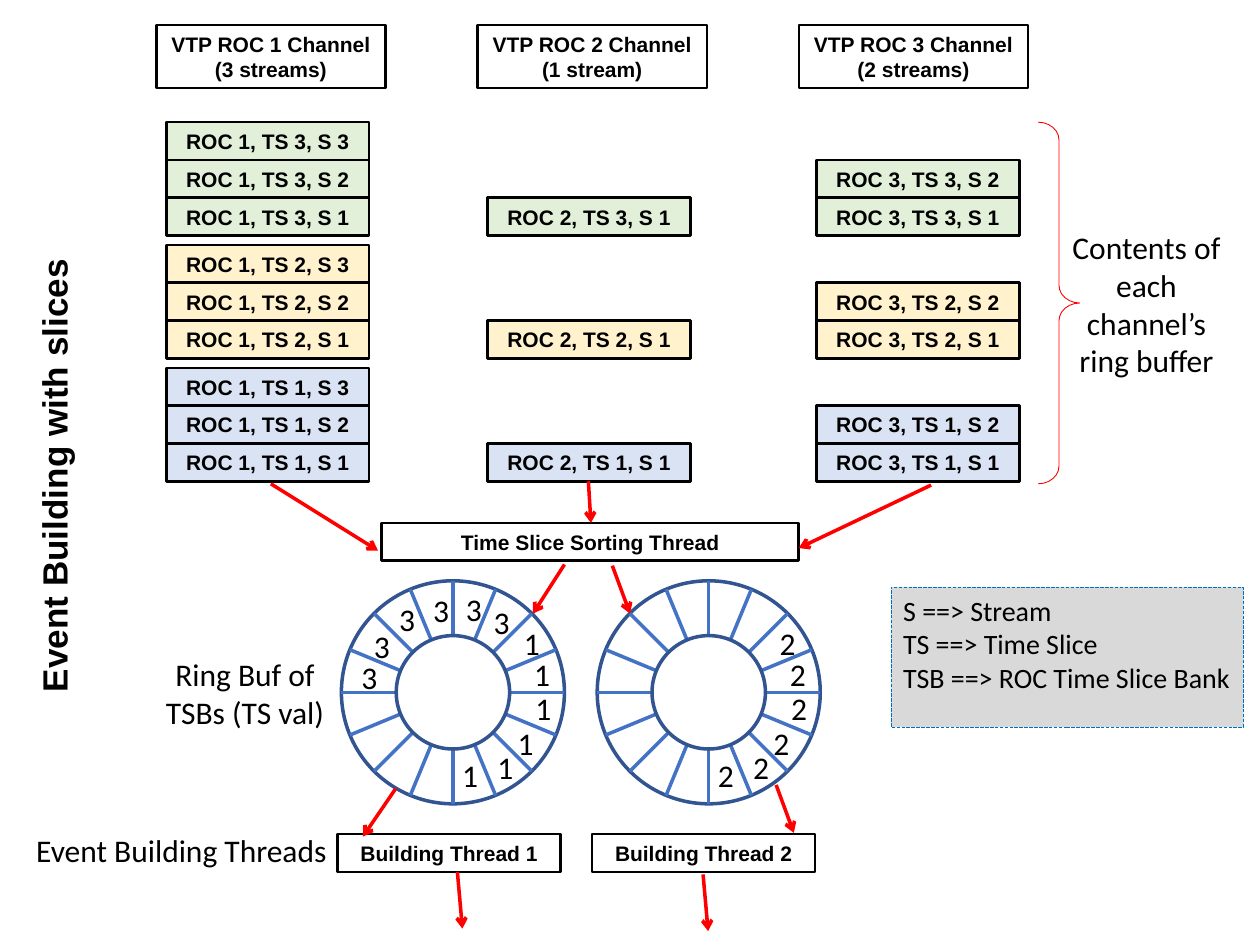
from dataclasses import dataclass
from math import cos, pi, sin

from lxml import etree
from pptx import Presentation
from pptx.dml.color import RGBColor
from pptx.enum.dml import MSO_LINE
from pptx.enum.shapes import MSO_CONNECTOR, MSO_SHAPE
from pptx.enum.text import MSO_ANCHOR, PP_ALIGN
from pptx.oxml import parse_xml
from pptx.oxml.ns import qn
from pptx.util import Inches, Pt

CENTER, LEFT = PP_ALIGN.CENTER, PP_ALIGN.LEFT
MIDDLE, TOP = MSO_ANCHOR.MIDDLE, MSO_ANCHOR.TOP
RECTANGLE, OVAL, BRACE = MSO_SHAPE.RECTANGLE, MSO_SHAPE.OVAL, MSO_SHAPE.RIGHT_BRACE
STRAIGHT = MSO_CONNECTOR.STRAIGHT
LONG_DASH = MSO_LINE.LONG_DASH


@dataclass(frozen=True)
class Theme:
    black: str = "000000"
    white: str = "FFFFFF"
    red: str = "FF0000"
    gray: str = "D9D9D9"
    legend_edge: str = "0070C0"
    ring_edge: str = "325491"
    spoke: str = "4472C4"
    slices: tuple = ("E2F0D9", "FFF2CC", "DAE3F3")
    heading_font: str = "Arial"
    body_font: str = "Calibri"
    label: int = 12
    legend: int = 16
    body: int = 18
    title: int = 20


THEME = Theme()
ROW_HEIGHT = 0.3
DIGIT_WIDTH, DIGIT_HEIGHT = 0.33, 0.4
RIGHT_DIGITS = [(0.86, 1.34), (1.3, 1.09), (1.14, 1.28),
                (1.43, 0.54), (1.44, 0.81), (1.35, 0.29)]
LEFT_DIGITS = [(0.63, 0.03), (0.16, 0.32), (1.11, 0.13),
               (0.36, 0.1), (0.89, 0.02), (0.06, 0.56)]
TEXT_SHADOW = (
    '<a:effectLst xmlns:a="http://schemas.openxmlformats.org/drawingml/2006/main">'
    '<a:outerShdw blurRad="38100" dist="38100" dir="2700000" algn="tl">'
    '<a:srgbClr val="000000"><a:alpha val="43000"/></a:srgbClr>'
    '</a:outerShdw></a:effectLst>'
)


def write(shape, text, size=THEME.body, font=THEME.body_font, bold=False,
          align=CENTER, anchor=TOP, right=0.1, shadow=False):
    frame = shape.text_frame
    frame.word_wrap = True
    frame.vertical_anchor = anchor
    frame.margin_right = Inches(right)
    for index, line in enumerate(text.split("\n")):
        para = frame.add_paragraph() if index else frame.paragraphs[0]
        para.alignment = align
        span = para.add_run()
        span.text = line
        span.font.size = Pt(size)
        span.font.name = font
        span.font.bold = bold
        span.font.color.rgb = RGBColor.from_string(THEME.black)
        if shadow:
            fill = span.font._element.find(qn("a:solidFill"))
            fill.addnext(parse_xml(TEXT_SHADOW))


def add_text(page, box, text, **style):
    shape = page.shapes.add_textbox(*map(Inches, box))
    write(shape, text, **style)
    return shape


def add_shape(page, kind, box, fill=None, line=THEME.black, weight=1.5):
    shape = page.shapes.add_shape(kind, *map(Inches, box))
    shape.shadow.inherit = False
    if fill:
        shape.fill.solid()
        shape.fill.fore_color.rgb = RGBColor.from_string(fill)
    else:
        shape.fill.background()
    shape.line.color.rgb = RGBColor.from_string(line)
    shape.line.width = Pt(weight)
    return shape


def add_label(page, box, text, fill=None):
    shape = add_shape(page, RECTANGLE, box, fill)
    write(shape, text, size=THEME.label, font=THEME.heading_font, bold=True, anchor=MIDDLE)


def add_line(page, start, end, color=THEME.red, arrow=False):
    line = page.shapes.add_connector(STRAIGHT, *map(Inches, (*start, *end)))
    line.line.color.rgb = RGBColor.from_string(color)
    line.line.width = Pt(2)
    properties = line._element.spPr
    if arrow:
        etree.SubElement(properties.find(qn("a:ln")), qn("a:tailEnd"), type="arrow")
    etree.SubElement(properties, qn("a:effectLst"))


def add_channel(page, box, roc, streams, header_left):
    left, top, width, height = box
    noun = "stream" if streams == 1 else "streams"
    add_label(page, (header_left, 0.2, 1.82, 0.5),
              f"VTP ROC {roc} Channel\n({streams} {noun})")
    group_pitch = 0.975
    row_pitch = (height - 2 * group_pitch - ROW_HEIGHT) / 2
    for group, fill in enumerate(THEME.slices):
        for stream in range(streams, 0, -1):
            row_top = top + group * group_pitch + (3 - stream) * row_pitch
            add_label(page, (left, row_top, width, ROW_HEIGHT),
                      f"ROC {roc}, TS {3 - group}, S {stream}", fill)


def add_ring(page, box, digits):
    left, top, size, _ = box
    radius = size / 2
    center_x, center_y = left + radius, top + radius
    add_shape(page, OVAL, box, THEME.white, THEME.ring_edge, 2)
    for step in range(8):
        dx, dy = radius * cos(step * pi / 8), radius * sin(step * pi / 8)
        add_line(page, (center_x - dx, center_y - dy), (center_x + dx, center_y + dy),
                 THEME.spoke)
    hub = 0.9
    add_shape(page, OVAL, (center_x - hub / 2, center_y - hub / 2, hub, hub),
              THEME.white, THEME.ring_edge, 2)
    for digit, offsets in digits.items():
        for x, y in offsets:
            add_text(page, (left + x, top + y, DIGIT_WIDTH, DIGIT_HEIGHT), digit, align=LEFT)


def add_legend(page, box):
    shape = add_shape(page, RECTANGLE, box, THEME.gray, THEME.legend_edge, 0.25)
    shape.line.dash_style = LONG_DASH
    write(shape, "S ==> Stream\nTS ==> Time Slice\nTSB ==> ROC Time Slice Bank",
          size=THEME.legend, align=LEFT, right=0)


def add_buffer_note(page, box):
    left, top, width, height = box
    brace = add_shape(page, BRACE, (left, top, 0.33, height), line=THEME.red, weight=0.5)
    brace.adjustments[0] = 0.427
    brace.adjustments[1] = 0.5
    add_text(page, (left + 0.16, top + 0.79, width - 0.16, 1.31),
             "Contents of each channel’s ring buffer", right=0.08)


def add_title(page, box):
    title = add_text(page, box, "Event Building with slices", size=THEME.title,
                     font=THEME.heading_font, bold=True, align=LEFT, shadow=True)
    title.rotation = 270


def add_arrows(page):
    arrows = [
        ((2.15, 3.84), (3, 4.37)), ((4.67, 3.82), (4.69, 4.15)), ((7.39, 3.85), (6.34, 4.35)),
        ((4.48, 4.48), (4.23, 4.87)), ((4.86, 4.49), (5, 4.87)),
        ((3.14, 6.26), (2.88, 6.64)), ((6.16, 6.23), (6.3, 6.61)),
        ((3.63, 6.92), (3.67, 7.37)), ((5.58, 6.94), (5.62, 7.39)),
    ]
    for start, end in arrows:
        add_line(page, start, end, arrow=True)


def main():
    deck = Presentation()
    deck.slide_width, deck.slide_height = Inches(10), Inches(7.5)
    page = deck.slides.add_slide(deck.slide_layouts[6])
    add_title(page, (-1.5, 3.44, 3.86, 0.44))
    for index, (left, streams) in enumerate([(1.32, 3), (3.87, 1), (6.48, 2)]):
        add_channel(page, (left, 0.97, 1.61, 2.85), index + 1, streams, 1.24 + 2.55 * index)
    add_buffer_note(page, (8.24, 0.97, 1.54, 2.87))
    add_label(page, (3.03, 4.15, 3.31, ROW_HEIGHT), "Time Slice Sorting Thread")
    add_ring(page, (2.71, 4.61, 1.77, 1.77), {"1": RIGHT_DIGITS, "3": LEFT_DIGITS})
    add_ring(page, (4.74, 4.61, 1.77, 1.77), {"2": RIGHT_DIGITS})
    add_text(page, (1.21, 5.15, 1.47, 0.71), "Ring Buf of TSBs (TS val)")
    add_text(page, (0.1, 6.55, 2.68, 0.4), "Event Building Threads")
    for number, left in enumerate((2.68, 4.7), 1):
        add_label(page, (left, 6.62, 1.77, ROW_HEIGHT), f"Building Thread {number}")
    add_legend(page, (7.07, 4.66, 2.8, 1.11))
    add_arrows(page)
    deck.save("out.pptx")


if __name__ == "__main__":
    main()
